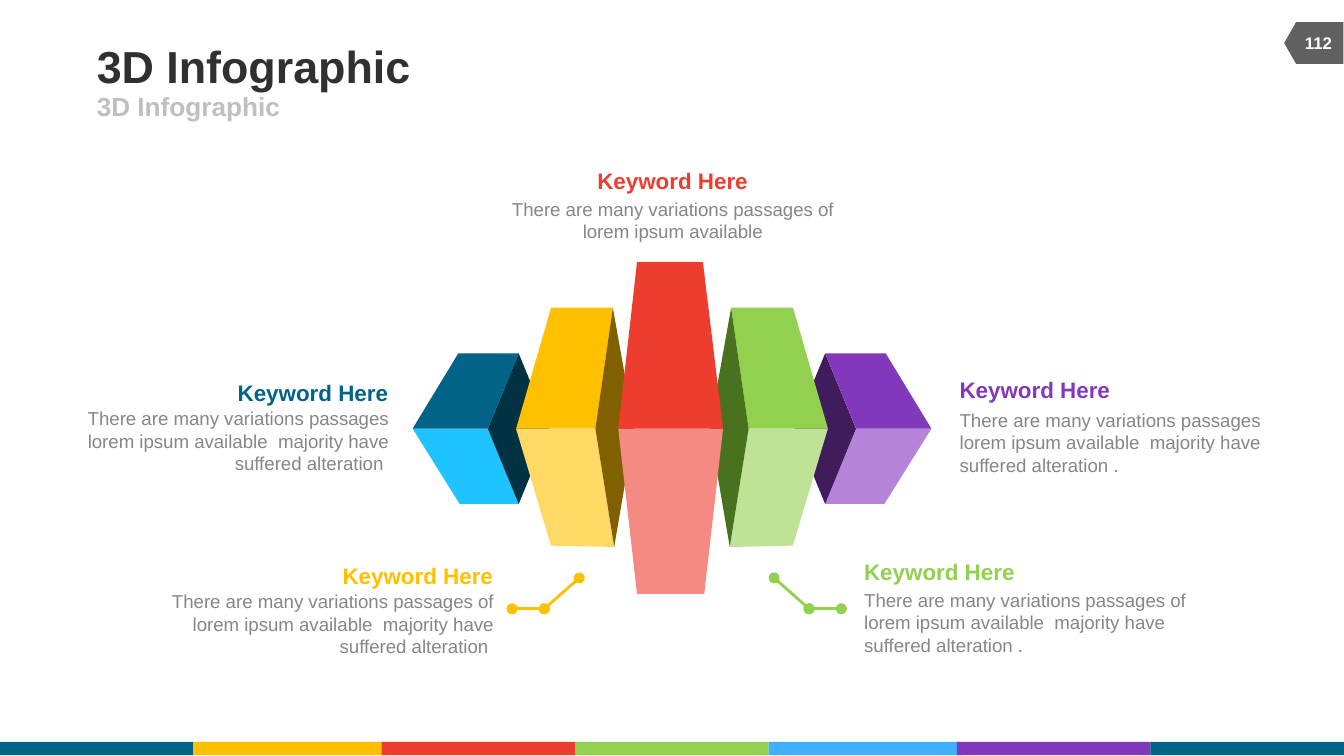
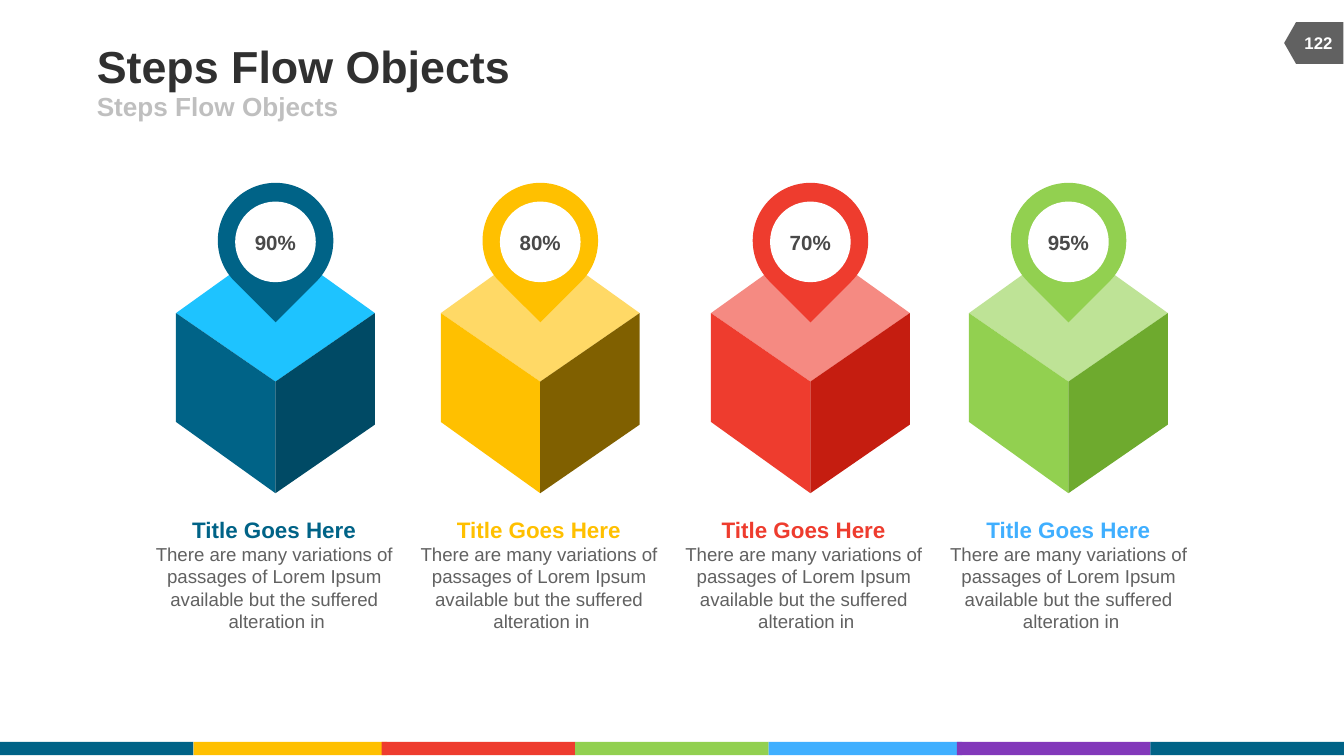
from dataclasses import dataclass

from lxml import etree
from pptx import Presentation
from pptx.dml.color import RGBColor
from pptx.enum.shapes import MSO_CONNECTOR, MSO_SHAPE
from pptx.enum.text import MSO_ANCHOR, MSO_AUTO_SIZE, PP_ALIGN
from pptx.oxml.ns import qn
from pptx.util import Inches, Pt

LEFT, CENTER, RIGHT = PP_ALIGN.LEFT, PP_ALIGN.CENTER, PP_ALIGN.RIGHT
TOP, MIDDLE = MSO_ANCHOR.TOP, MSO_ANCHOR.MIDDLE
NO_FIT, GROW = MSO_AUTO_SIZE.NONE, MSO_AUTO_SIZE.SHAPE_TO_FIT_TEXT
RECTANGLE, ELLIPSE, TEARDROP = MSO_SHAPE.RECTANGLE, MSO_SHAPE.OVAL, MSO_SHAPE.TEAR
PAGE_TAG = MSO_SHAPE.FLOWCHART_OFFPAGE_CONNECTOR
STRAIGHT = MSO_CONNECTOR.STRAIGHT

FONT = "Arial"
BLUE, YELLOW, RED, GREEN = "006387", "FFC000", "EE3C2E", "92D050"
SKY, PURPLE, WHITE = "40AFFF", "8238BA", "FFFFFF"
LIGHT_BLUE, LIGHT_YELLOW, LIGHT_RED, LIGHT_GREEN = "1EC3FF", "FFD966", "F58A82", "BEE396"
DARK_GRAY, GRAY = "616161", "868686"
BANDS = [(0, BLUE), (1.44, YELLOW), (2.84, RED), (4.28, GREEN), (5.72, SKY), (7.12, PURPLE), (8.56, BLUE)]

Point = tuple[float, float]


@dataclass
class Caption:
    left: float
    heading_top: float
    top: float
    width: float
    height: float
    color: str
    alignment: PP_ALIGN
    text: str


@dataclass
class Face:
    color: str
    points: list[Point]


@dataclass
class Cube:
    center: float
    percent: str
    top_color: str
    color: str
    side_color: str
    title_color: str


OUTER_FACES = [
    [(6.37, 3.19), (6.93, 3.19), (6.58, 3.75), (6.14, 3.75)],
    [(5.91, 3.19), (6.14, 2.63), (6.37, 3.19), (6.14, 3.75)],
    [(6.37, 3.19), (6.14, 2.63), (6.59, 2.63), (6.93, 3.19)],
]
INNER_FACES = [
    [(5.44, 2.29), (5.9, 2.29), (6.16, 3.19), (5.57, 3.19)],
    [(5.43, 4.07), (5.57, 3.19), (6.16, 3.19), (5.9, 4.06)],
    [(5.57, 3.19), (5.43, 4.07), (5.28, 3.19), (5.44, 2.29)],
]
CENTER_FACES = [
    Face(LIGHT_RED, [(4.6, 3.19), (5.38, 3.19), (5.24, 4.42), (4.74, 4.42)]),
    Face(RED, [(5.38, 3.19), (4.6, 3.19), (4.74, 1.95), (5.23, 1.95)]),
]
CAPTIONS = [
    Caption(6.43, 4.15, 4.38, 2.49, 0.5, GREEN, LEFT,
            "There are many variations passages of lorem ipsum available  majority have suffered alteration ."),
    Caption(7.14, 2.8, 3.04, 2.49, 0.5, PURPLE, LEFT,
            "There are many variations passages lorem ipsum available  majority have suffered alteration ."),
    Caption(3.76, 1.24, 1.47, 2.49, 0.34, RED, CENTER,
            "There are many variations passages of lorem ipsum available"),
    Caption(1.18, 4.18, 4.39, 2.49, 0.5, YELLOW, RIGHT,
            "There are many variations passages of lorem ipsum available  majority have suffered alteration "),
    Caption(0.59, 2.82, 3.03, 2.3, 0.5, BLUE, RIGHT,
            "There are many variations passages lorem ipsum available  majority have suffered alteration "),
]
CUBES = [
    Cube(2.05, "90%", LIGHT_BLUE, BLUE, "004A65", BLUE),
    Cube(4.02, "80%", LIGHT_YELLOW, YELLOW, "806000", YELLOW),
    Cube(6.03, "70%", LIGHT_RED, RED, "C51D10", RED),
    Cube(7.95, "95%", LIGHT_GREEN, GREEN, "6EAA2E", SKY),
]
CUBE_TEXT = "There are many variations of passages of Lorem Ipsum available but the suffered\n alteration in"


def rgb(color: str) -> RGBColor:
    return RGBColor.from_string(color)


def paint(shape, color: str):
    shape.shadow.inherit = False
    shape.fill.solid()
    shape.fill.fore_color.rgb = rgb(color)
    shape.line.fill.background()
    return shape


def add_preset(slide, kind, left: float, top: float, width: float, height: float, color: str, rotation: int = 0):
    shape = slide.shapes.add_shape(kind, Inches(left), Inches(top), Inches(width), Inches(height))
    shape.rotation = rotation
    return paint(shape, color)


def add_face(slide, face: Face) -> None:
    points = [(Inches(x), Inches(y)) for x, y in face.points]
    builder = slide.shapes.build_freeform(*points[0])
    builder.add_line_segments(points[1:], close=True)
    paint(builder.convert_to_shape(), face.color)


def format_paragraph(paragraph, size: float, color: str, bold: bool, alignment: PP_ALIGN) -> None:
    paragraph.alignment = alignment
    for run in paragraph.runs:
        run.font.name = FONT
        run.font.size = Pt(size)
        run.font.bold = bold
        run.font.color.rgb = rgb(color)


def set_frame(text_frame, anchor: MSO_ANCHOR, fit: MSO_AUTO_SIZE, wrap: bool, inset: bool = False) -> None:
    text_frame.vertical_anchor = anchor
    text_frame.auto_size = fit
    text_frame.word_wrap = wrap
    if not inset:
        text_frame.margin_left = text_frame.margin_right = 0
        text_frame.margin_top = text_frame.margin_bottom = 0


def add_text_box(slide, left: float, top: float, width: float, height: float):
    return slide.shapes.add_textbox(Inches(left), Inches(top), Inches(width), Inches(height)).text_frame


def fill_placeholder(shape, text: str, top: float, width: float, height: float, size: float, color: str) -> None:
    shape.left, shape.top, shape.width, shape.height = Inches(0.72), Inches(top), Inches(width), Inches(height)
    text_frame = shape.text_frame
    text_frame.text = text
    set_frame(text_frame, MIDDLE, NO_FIT, False)
    format_paragraph(text_frame.paragraphs[0], size, color, True, LEFT)
    for run in text_frame.paragraphs[0].runs:
        run.font._element.set("cap", "none")


def decorate_layout(slide) -> None:
    layout = slide.slide_layout
    for placeholder in list(layout.placeholders):
        if placeholder.placeholder_format.idx >= 10:
            layout.shapes.element.remove(placeholder.element)
    decorations = [add_preset(slide, RECTANGLE, left, 5.52, 1.44, 0.1, color) for left, color in BANDS]
    decorations.append(add_preset(slide, PAGE_TAG, 9.62, 0.1, 0.31, 0.44, DARK_GRAY, 90))
    for shape in decorations:
        layout.shapes.element.append(shape.element)


def add_titled_slide(presentation, title: str, number: str):
    slide = presentation.slides.add_slide(presentation.slide_layouts[2])
    fill_placeholder(slide.shapes.title, title, 0.29, 6.17, 0.39, 24, "303030")
    fill_placeholder(slide.placeholders[1], title, 0.68, 4.5, 0.22, 14, "BFBFBF")
    text_frame = add_text_box(slide, 9.6, 0.17, 0.42, 0.3)
    text_frame.text = number
    set_frame(text_frame, MIDDLE, NO_FIT, True, inset=True)
    format_paragraph(text_frame.paragraphs[0], 9, WHITE, True, CENTER)
    return slide


def add_block(slide, outlines: list[list[Point]], colors: list[str], mirrored: bool) -> None:
    for points, color in zip(outlines, colors):
        add_face(slide, Face(color, [(10 - x, y) if mirrored else (x, y) for x, y in points]))


def add_leader(slide, start: float, direction: int, color: str) -> None:
    points = [(start, 4.3), (start + direction * 0.26, 4.53), (start + direction * 0.5, 4.53)]
    for begin, end in zip(points, points[1:]):
        connector = slide.shapes.add_connector(STRAIGHT, *(Inches(value) for value in begin + end))
        connector.line.color.rgb = rgb(color)
        connector.line.width = Pt(1.5)
        properties = connector.element.spPr
        for tag in ("a:headEnd", "a:tailEnd"):
            etree.SubElement(properties.get_or_add_ln(), qn(tag)).set("type", "oval")
        etree.SubElement(properties, qn("a:effectLst"))


def add_caption(slide, caption: Caption) -> None:
    heading_width = 1.13
    share = {LEFT: 0, CENTER: 0.5, RIGHT: 1}[caption.alignment]
    heading_left = caption.left + share * (caption.width - heading_width)
    description = add_text_box(slide, caption.left, caption.top, caption.width, caption.height)
    description.text = caption.text
    set_frame(description, TOP, GROW, True)
    description.paragraphs[0].space_before = Pt(2)
    format_paragraph(description.paragraphs[0], 10, GRAY, False, caption.alignment)
    heading = add_text_box(slide, heading_left, caption.heading_top, heading_width, 0.2)
    heading.text = "Keyword Here"
    set_frame(heading, TOP, GROW, False)
    format_paragraph(heading.paragraphs[0], 12, caption.color, True, caption.alignment)


def add_cube(slide, cube: Cube) -> None:
    middle, left, right = cube.center, cube.center - 0.74, cube.center + 0.74
    add_face(slide, Face(cube.top_color, [(right, 2.33), (middle, 2.84), (left, 2.33), (middle, 1.8)]))
    add_face(slide, Face(cube.color, [(middle, 2.84), (middle, 3.67), (left, 3.14), (left, 2.33)]))
    add_face(slide, Face(cube.side_color, [(middle, 3.67), (middle, 2.84), (right, 2.33), (right, 3.16)]))
    add_preset(slide, TEARDROP, middle - 0.43, 1.36, 0.86, 0.86, cube.color, 135)
    badge = add_preset(slide, ELLIPSE, middle - 0.3, 1.5, 0.6, 0.6, WHITE).text_frame
    badge.text = cube.percent
    set_frame(badge, MIDDLE, NO_FIT, True)
    format_paragraph(badge.paragraphs[0], 11, "494949", True, CENTER)


def add_cube_text(slide, left: float, color: str) -> None:
    text_frame = add_text_box(slide, left, 3.79, 1.96, 0.98)
    set_frame(text_frame, TOP, GROW, True, inset=True)
    heading = text_frame.paragraphs[0]
    heading.text = "Title Goes Here"
    format_paragraph(heading, 12, color, True, CENTER)
    description = text_frame.add_paragraph()
    description.text = CUBE_TEXT
    format_paragraph(description, 10, DARK_GRAY, False, CENTER)


def build_infographic(presentation) -> None:
    slide = add_titled_slide(presentation, "3D Infographic", "112")
    decorate_layout(slide)
    add_block(slide, OUTER_FACES, ["B583DA", "411C5D", PURPLE], False)
    add_block(slide, INNER_FACES, [GREEN, LIGHT_GREEN, "49721E"], False)
    add_block(slide, OUTER_FACES, [LIGHT_BLUE, "003244", BLUE], True)
    add_block(slide, INNER_FACES, [YELLOW, LIGHT_YELLOW, "806000"], True)
    for face in CENTER_FACES:
        add_face(slide, face)
    add_leader(slide, 4.31, -1, YELLOW)
    add_leader(slide, 5.76, 1, GREEN)
    for caption in CAPTIONS:
        add_caption(slide, caption)


def build_steps(presentation) -> None:
    slide = add_titled_slide(presentation, "Steps Flow Objects", "122")
    for index, cube in enumerate(CUBES):
        add_cube(slide, cube)
        add_cube_text(slide, 1.06 + 1.97 * index, cube.title_color)


def main() -> None:
    presentation = Presentation()
    presentation.slide_width = Inches(10)
    presentation.slide_height = Inches(10) * 9 // 16
    build_infographic(presentation)
    build_steps(presentation)
    presentation.save("out.pptx")


if __name__ == "__main__":
    main()
